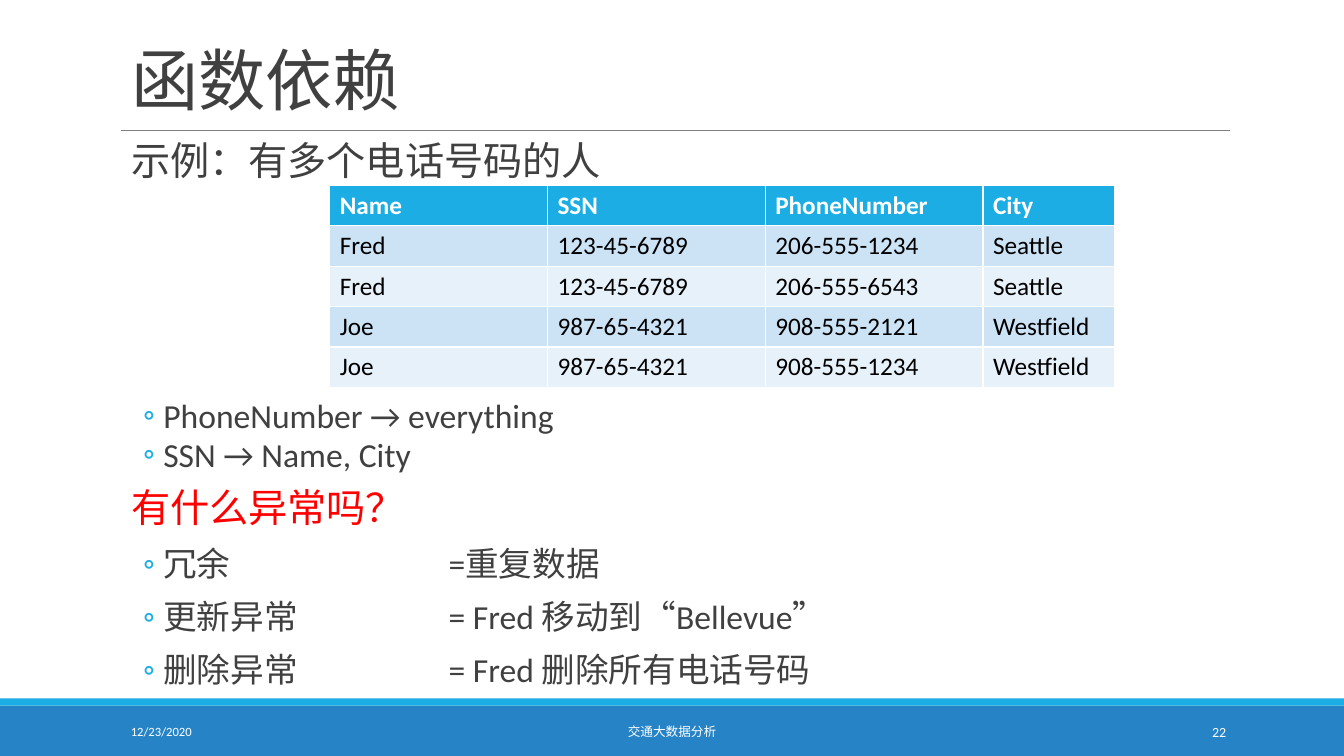
from dataclasses import dataclass

from lxml import etree
from pptx import Presentation
from pptx import util as u
from pptx.dml.color import RGBColor
from pptx.enum import shapes, text
from pptx.oxml import ns

Inches, Pt = u.Inches, u.Pt


@dataclass(frozen=True)
class Theme:
    font: str = "Calibri"
    ink: str = "404040"
    black: str = "000000"
    white: str = "FFFFFF"
    alert: str = "FF0000"
    rule: str = "808080"
    accent: str = "1CADE4"
    footer: str = "2683C6"
    bands: tuple = ("CCE3F5", "E7F1FA")
    title_size: float = 48
    heading_size: float = 28
    item_size: float = 24
    table_size: float = 18
    footer_size: float = 9
    number_size: float = 10


THEME = Theme()

TABLE_ROWS = [
    ("Name", "SSN", "PhoneNumber", "City"),
    ("Fred", "123-45-6789", "206-555-1234", "Seattle"),
    ("Fred", "123-45-6789", "206-555-6543", "Seattle"),
    ("Joe", "987-65-4321", "908-555-2121", "Westfield"),
    ("Joe", "987-65-4321", "908-555-1234", "Westfield"),
]

# Text, is a bullet, colour, space before, space after
NOTES = [
    ("PhoneNumber → everything", True, THEME.ink, 0, 0),
    ("SSN → Name, City", True, THEME.ink, 2, 4),
    ("有什么异常吗？", False, THEME.alert, 6, 6),
    ("冗余\t=重复数据", True, THEME.ink, 6, 6),
    ("更新异常\t= Fred 移动到“Bellevue”", True, THEME.ink, 6, 6),
    ("删除异常\t= Fred 删除所有电话号码", True, THEME.ink, 6, 6),
]


def style(paragraph, size, color, bold=False):
    for run in paragraph.runs:
        font = run.font
        font.name, font.size, font.bold = THEME.font, Pt(size), bold
        font.color.rgb = RGBColor.from_string(color)


def add_bar(slide, left, top, width, height, color):
    bar = slide.shapes.add_shape(
        shapes.MSO_SHAPE.RECTANGLE, Inches(left), Inches(top), Inches(width), Inches(height))
    bar.shadow.inherit = False
    bar.fill.solid()
    bar.fill.fore_color.rgb = RGBColor.from_string(color)
    bar.line.fill.background()


def add_text_frame(slide, left, top, width, height):
    box = slide.shapes.add_textbox(Inches(left), Inches(top), Inches(width), Inches(height))
    box.text_frame.word_wrap = True
    return box.text_frame


def add_title(slide, left, top, width, height):
    title = slide.shapes.title
    title.left, title.top = Inches(left), Inches(top)
    title.width, title.height = Inches(width), Inches(height)
    frame = title.text_frame
    frame.text = "函数依赖"
    frame.vertical_anchor = text.MSO_ANCHOR.BOTTOM
    paragraph = frame.paragraphs[0]
    paragraph.alignment = text.PP_ALIGN.LEFT
    paragraph.line_spacing = 0.85
    style(paragraph, THEME.title_size, THEME.ink)

    # Rule under the title
    y = Inches(top + height + 0.06)
    rule = slide.shapes.add_connector(
        shapes.MSO_CONNECTOR.STRAIGHT, Inches(left), y, Inches(left + width), y)
    rule.line.color.rgb = RGBColor.from_string(THEME.rule)
    rule.line.width = Pt(0.5)
    etree.SubElement(rule._element.spPr, ns.qn("a:effectLst"))


def format_note(paragraph, is_bullet, tab_stop):
    properties = paragraph._p.get_or_add_pPr()
    margin, indent = (0.42, -0.2) if is_bullet else (0.1, 0)
    properties.set("marL", str(Inches(margin)))
    properties.set("indent", str(Inches(indent)))
    if is_bullet:
        color = etree.SubElement(properties, ns.qn("a:buClr"))
        etree.SubElement(color, ns.qn("a:srgbClr"), val=THEME.accent)
        etree.SubElement(properties, ns.qn("a:buFont"), typeface=THEME.font)
        etree.SubElement(properties, ns.qn("a:buChar"), char="◦")
        tabs = etree.SubElement(properties, ns.qn("a:tabLst"))
        etree.SubElement(tabs, ns.qn("a:tab"), pos=str(Inches(tab_stop)), algn="l")


def add_notes(slide, notes, left, top, width, height):
    frame = add_text_frame(slide, left, top, width, height)
    frame.margin_left = frame.margin_right = 0
    for index, (words, is_bullet, color, before, after) in enumerate(notes):
        paragraph = frame.add_paragraph() if index else frame.paragraphs[0]
        paragraph.text = words
        format_note(paragraph, is_bullet, tab_stop=3.25)
        paragraph.line_spacing = 0.9
        paragraph.space_before, paragraph.space_after = Pt(before), Pt(after)
        style(paragraph, THEME.item_size if is_bullet else THEME.heading_size, color)


def add_people_table(slide, left, top, width, height):
    table = slide.shapes.add_table(
        len(TABLE_ROWS), len(TABLE_ROWS[0]),
        Inches(left), Inches(top), Inches(width), Inches(height)).table
    city_width = 1.31
    for column in table.columns:
        column.width = Inches((width - city_width) / 3)
    table.columns[3].width = Inches(city_width)
    for row, values in enumerate(TABLE_ROWS):
        is_header = row == 0
        fill = THEME.accent if is_header else THEME.bands[(row - 1) % 2]
        for column, value in enumerate(values):
            cell = table.cell(row, column)
            cell.text_frame.text = value
            cell.fill.solid()
            cell.fill.fore_color.rgb = RGBColor.from_string(fill)
            style(cell.text_frame.paragraphs[0], THEME.table_size,
                  THEME.white if is_header else THEME.black, is_header)


def add_footer(slide, left, top, width, height):
    stripe = 0.07
    add_bar(slide, left, top + stripe, width, height - stripe, THEME.footer)
    add_bar(slide, left, top, width, stripe, THEME.accent)
    fields = [
        ("12/23/2020", 1.2, 2.7, text.PP_ALIGN.LEFT, THEME.footer_size),
        ("交通大数据分析", 4.03, 5.27, text.PP_ALIGN.CENTER, THEME.footer_size),
        ("22", 10.83, 1.43, text.PP_ALIGN.RIGHT, THEME.number_size),
    ]
    for words, offset, field_width, alignment, size in fields:
        frame = add_text_frame(slide, left + offset, top + 0.13, field_width, 0.4)
        frame.text = words
        frame.vertical_anchor = text.MSO_ANCHOR.MIDDLE
        frame.paragraphs[0].alignment = alignment
        style(frame.paragraphs[0], size, THEME.white)


def build_dependency_slide(presentation):
    slide = presentation.slides.add_slide(presentation.slide_layouts[5])
    left, width = 1.2, 11
    add_footer(slide, 0, 6.93, 13.33, 0.57)
    add_title(slide, left, 0.14, width, 1.09)
    add_notes(slide, [("示例：有多个电话号码的人", False, THEME.ink, 0, 0)],
              left, 1.36, width, 0.5)
    add_people_table(slide, 3.27, 1.84, 7.79, 2)
    add_notes(slide, NOTES, left, 3.91, width, 3)


def main():
    presentation = Presentation()
    presentation.slide_width, presentation.slide_height = Inches(13.33), Inches(7.5)
    build_dependency_slide(presentation)
    presentation.save("out.pptx")


if __name__ == "__main__":
    main()
